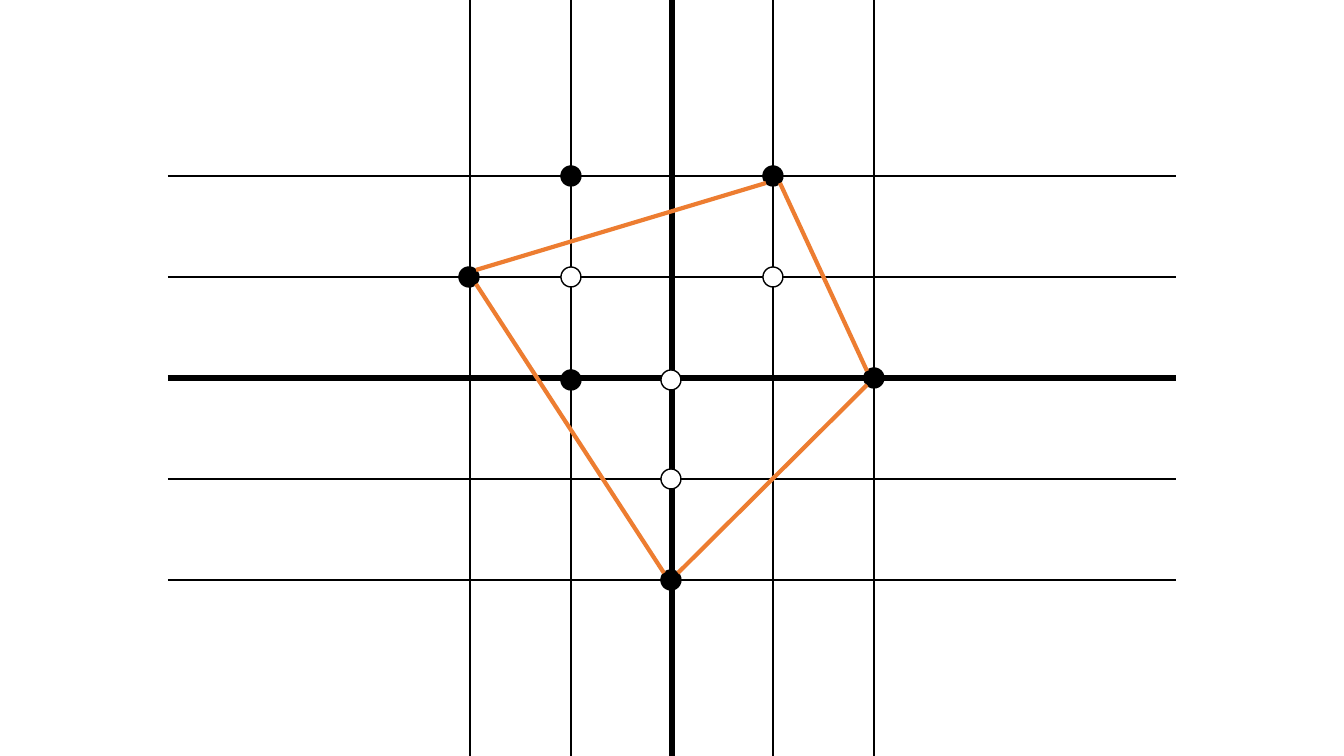
from dataclasses import dataclass

from lxml import etree
from pptx import Presentation
from pptx.dml.color import RGBColor
from pptx.enum.shapes import MSO_CONNECTOR, MSO_SHAPE
from pptx.oxml.ns import qn
from pptx.util import Pt

LINE = MSO_CONNECTOR.STRAIGHT
OVAL = MSO_SHAPE.OVAL
SCALE = 914400 / 100.8
WIDTH, HEIGHT = 1344, 756
MID_X, MID_Y = WIDTH // 2, HEIGHT // 2
STEP = 101    # gap between grid lines
REACH = 504   # half the length of a grid line
RADIUS = 10   # of a dot
RIM = 7       # offset from a dot's centre to its diagonal rim points


@dataclass(frozen=True)
class Theme:
    """Colours and line widths of the slide."""
    black: RGBColor = RGBColor(0, 0, 0)
    white: RGBColor = RGBColor(255, 255, 255)
    orange: RGBColor = RGBColor(0xED, 0x7D, 0x31)
    axis: float = 4
    grid: float = 2
    edge: float = 3
    ring: float = 1


THEME = Theme()

# Column and row from the grid centre, then a small shift in pixels.
SOLID = {
    "right": (2, 0, 0, 0),
    "top": (1, -2, 0, 0),
    "upper": (-1, -2, 0, 0),
    "left": (-2, -1, -1, 0),
    "inner": (-1, 0, 0, 2),
    "bottom": (0, 2, -1, 0),
}
HOLLOW = [(0, 0, -1, 2), (1, -1, 0, 0), (-1, -1, 0, 0), (0, 1, -1, 0)]

# Each end: a solid dot and the side of its rim (x, y).
EDGES = [
    (("left", 1, -1), ("top", -1, 1)),
    (("right", -1, -1), ("top", 1, 1)),
    (("bottom", 1, -1), ("right", -1, 1)),
    (("left", 1, 1), ("bottom", -1, -1)),
]


def emu(px):
    """Turn pixels into EMU."""
    return round(px * SCALE)


def centre(col, row, dx, dy):
    """Give the pixel centre of a dot on the grid."""
    return MID_X + col * STEP + dx, MID_Y + row * STEP + dy


def rim(name, side_x, side_y):
    """Give a diagonal point on the rim of a solid dot."""
    x, y = centre(*SOLID[name])
    return x + side_x * RIM, y + side_y * RIM


def add_line(slide, start, end, color, width):
    """Draw a straight line without a shadow."""
    line = slide.shapes.add_connector(LINE, *map(emu, (*start, *end)))
    line.line.color.rgb = color
    line.line.width = Pt(width)
    etree.SubElement(line._element.spPr, qn("a:effectLst"))


def add_grid(slide):
    """Draw the rows and then the columns, with heavy axes."""
    for flat in (True, False):
        for step in range(-2, 3):
            width = THEME.grid if step else THEME.axis
            shift = step * STEP
            if flat:
                start = MID_X - REACH, MID_Y + shift
                end = MID_X + REACH, MID_Y + shift
            else:
                start = MID_X + shift, MID_Y - REACH
                end = MID_X + shift, MID_Y + REACH
            add_line(slide, start, end, THEME.black, width)


def add_dot(slide, place, fill):
    """Draw a round dot at a grid place."""
    x, y = centre(*place)
    size = emu(2 * RADIUS)
    dot = slide.shapes.add_shape(OVAL, emu(x - RADIUS), emu(y - RADIUS), size, size)
    dot.shadow.inherit = False
    dot.fill.solid()
    dot.fill.fore_color.rgb = fill
    dot.line.color.rgb = THEME.black
    dot.line.width = Pt(THEME.ring)


def main():
    """Build the slide and save it."""
    deck = Presentation()
    deck.slide_width, deck.slide_height = emu(WIDTH), emu(HEIGHT)
    slide = deck.slides.add_slide(deck.slide_layouts[6])
    add_grid(slide)
    for place in SOLID.values():
        add_dot(slide, place, THEME.black)
    for place in HOLLOW:
        add_dot(slide, place, THEME.white)
    for start, end in EDGES:
        add_line(slide, rim(*start), rim(*end), THEME.orange, THEME.edge)
    deck.save("out.pptx")


main()
